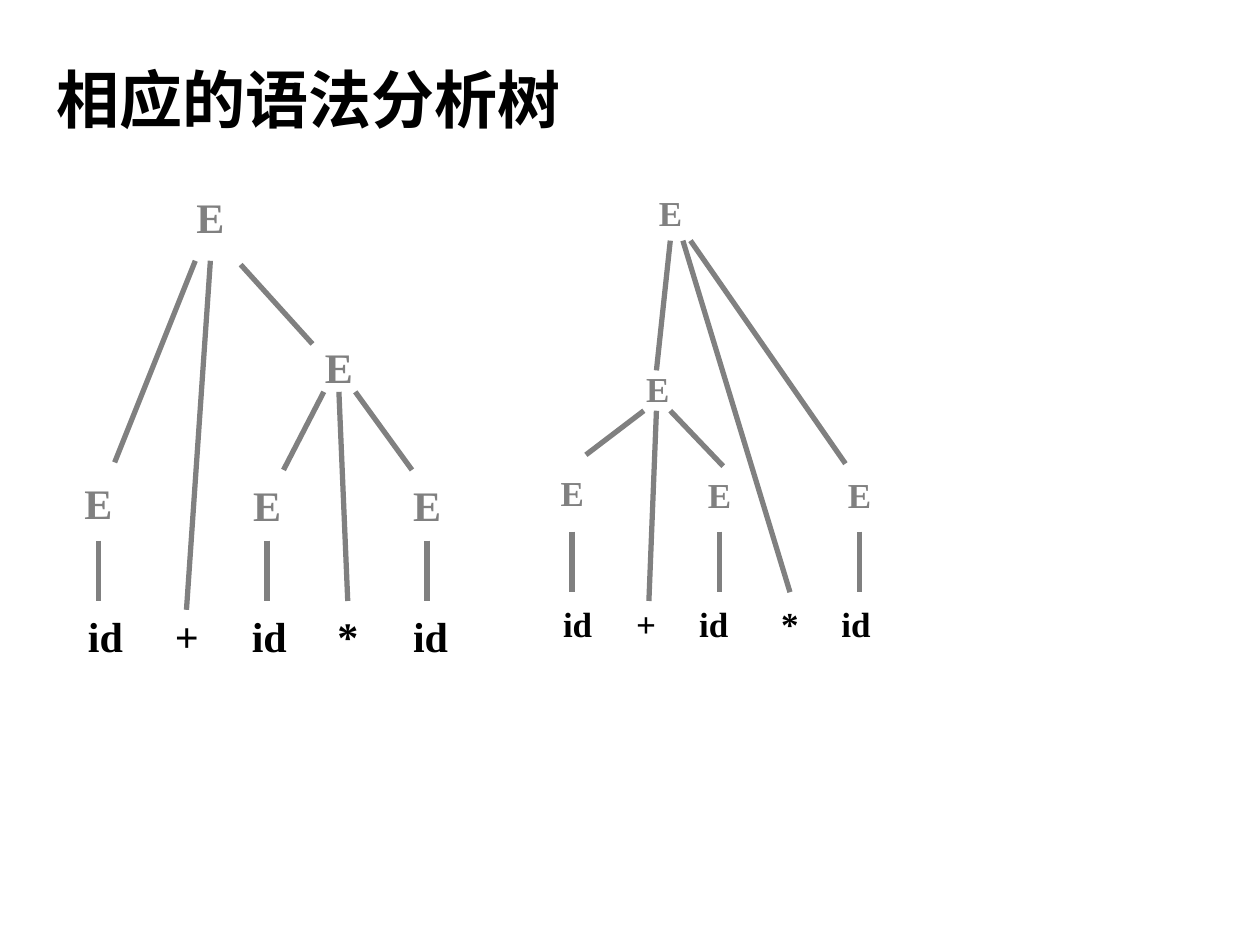
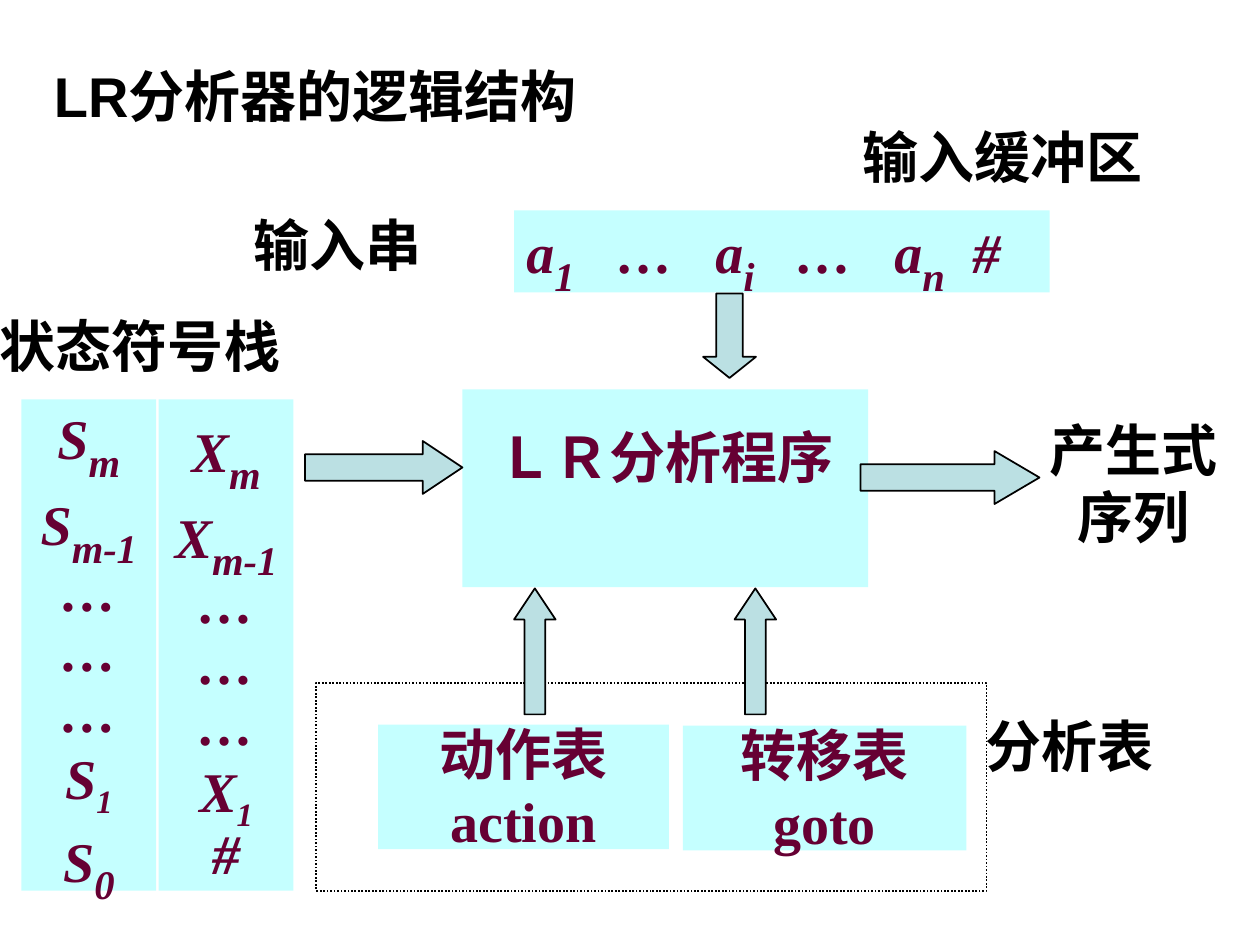
from dataclasses import dataclass
from typing import Optional, Union

from lxml.etree import SubElement
from pptx import Presentation
from pptx.dml.color import RGBColor
from pptx.enum.dml import MSO_LINE
from pptx.enum.shapes import MSO_CONNECTOR, MSO_SHAPE
from pptx.enum.text import MSO_ANCHOR, PP_ALIGN
from pptx.oxml.ns import qn
from pptx.util import Inches, Pt

CELL = Inches(0.1)  # the page is a grid of 100 columns by 75 rows
COLUMNS, ROWS = 100, 75


def cells(count: float) -> int:
    return round(count * CELL)


@dataclass(frozen=True)
class Theme:
    black: str = "000000"
    white: str = "FFFFFF"
    tree_grey: str = "808080"
    block_cyan: str = "C5FFFF"
    block_text: str = "660033"
    arrow_fill: str = "BBE0E3"
    title_font: str = "Arial"
    body_font: str = "Times New Roman"
    tree_title: int = 36
    body: int = 32
    index: int = 40
    branch_width: int = 3
    outline_width: int = 1


THEME = Theme()


@dataclass(frozen=True)
class Place:
    column: float
    row: float
    columns: float
    rows: float

    def lengths(self) -> tuple[int, ...]:
        return tuple(map(cells, (self.column, self.row, self.columns, self.rows)))


@dataclass(frozen=True)
class Symbol:
    """A grammar symbol with a lowered index."""
    base: str
    index: str = ""
    index_size: int = THEME.index


Span = Union[str, Symbol]


@dataclass(frozen=True)
class Box:
    place: Place
    lines: tuple[tuple[Span, ...], ...]
    size: int = THEME.body
    font: str = THEME.body_font
    color: str = THEME.black
    fill: Optional[str] = None
    italic: bool = False
    centred: bool = False
    middle: bool = False
    wrap: bool = True
    side_inset: float = 1
    bottom_inset: float = 0.5
    line_spacing: Optional[float] = None
    tabs: tuple[float, ...] = ()


@dataclass(frozen=True)
class Branch:
    start: tuple[float, float]
    end: tuple[float, float]
    from_root: bool = False


@dataclass(frozen=True)
class Tree:
    size: int
    node_columns: float
    node_rows: float
    root: tuple[float, float]
    inner: tuple[float, float]
    leaves: tuple[tuple[float, float], ...]
    stem_top: float
    branches: tuple[Branch, ...]
    tokens: Place
    token_tabs: tuple[float, ...]


@dataclass(frozen=True)
class Arrow:
    shape: MSO_SHAPE
    place: Place
    head: float


def paint(shape, fill: Optional[str], line: Optional[str] = None) -> None:
    shape.shadow.inherit = False
    if fill:
        shape.fill.solid()
        shape.fill.fore_color.rgb = RGBColor.from_string(fill)
    else:
        shape.fill.background()
    if line:
        shape.line.color.rgb = RGBColor.from_string(line)
        shape.line.width = Pt(THEME.outline_width)
    else:
        shape.line.fill.background()


def add_tabs(paragraph, tabs: tuple[float, ...]) -> None:
    tab_list = SubElement(paragraph._p.get_or_add_pPr(), qn("a:tabLst"))
    for stop in tabs:
        SubElement(tab_list, qn("a:tab"), pos=str(cells(stop)), algn="l")


def add_span(paragraph, text: str, box: Box, size: int, lowered: bool = False) -> None:
    run = paragraph.add_run()
    run.text = text
    font = run.font
    font.name, font.size, font.bold, font.italic = box.font, Pt(size), True, box.italic
    font.color.rgb = RGBColor.from_string(box.color)
    if lowered:
        run._r.get_or_add_rPr().set("baseline", "-25000")


def draw_box(page, box: Box):
    if box.fill:
        shape = page.shapes.add_shape(MSO_SHAPE.RECTANGLE, *box.place.lengths())
        paint(shape, box.fill)
    else:
        shape = page.shapes.add_textbox(*box.place.lengths())
    frame = shape.text_frame
    frame.word_wrap = box.wrap
    frame.vertical_anchor = MSO_ANCHOR.MIDDLE if box.middle else MSO_ANCHOR.TOP
    frame.margin_left = frame.margin_right = cells(box.side_inset)
    frame.margin_top, frame.margin_bottom = cells(0.5), cells(box.bottom_inset)
    for number, line in enumerate(box.lines):
        paragraph = frame.add_paragraph() if number else frame.paragraphs[0]
        paragraph.alignment = PP_ALIGN.CENTER if box.centred else PP_ALIGN.LEFT
        if box.line_spacing:
            paragraph.line_spacing = box.line_spacing
        if box.tabs:
            add_tabs(paragraph, box.tabs)
        for position, span in enumerate(line):
            symbol = span if isinstance(span, Symbol) else Symbol(span)
            lead = "\t" if position else ""
            add_span(paragraph, lead + symbol.base, box, box.size)
            if symbol.index:
                add_span(paragraph, symbol.index, box, symbol.index_size, lowered=True)
    return shape


def draw_title(page, text: str, place: Place, size: int) -> None:
    draw_box(page, Box(place, ((text,),), size, THEME.title_font,
                       fill=THEME.white, middle=True))


def draw_branch(page, branch: Branch, root=None) -> None:
    line = page.shapes.add_connector(MSO_CONNECTOR.STRAIGHT,
                                     *map(cells, branch.start + branch.end))
    line.line.color.rgb = RGBColor.from_string(THEME.tree_grey)
    line.line.width = Pt(THEME.branch_width)
    SubElement(line._element.spPr, qn("a:effectLst"))
    if branch.from_root:
        line.begin_connect(root, 2)


def draw_tree(page, tree: Tree) -> None:
    draw_box(page, Box(tree.tokens, (("id", "+", "id", "*", "id"),), tree.size,
                       tabs=tree.token_tabs))
    nodes = [draw_box(page, Box(Place(*corner, tree.node_columns, tree.node_rows), (("E",),),
                                tree.size, color=THEME.tree_grey, centred=True, wrap=False))
             for corner in (tree.root, tree.inner, *tree.leaves)]
    for column, _ in tree.leaves:
        middle = column + tree.node_columns / 2
        draw_branch(page, Branch((middle, tree.stem_top), (middle, tree.stem_top + 4.8)))
    for branch in tree.branches:
        draw_branch(page, branch, nodes[0])


def draw_arrow(page, arrow: Arrow) -> None:
    shape = page.shapes.add_shape(arrow.shape, *arrow.place.lengths())
    shape.adjustments[0], shape.adjustments[1] = 0.5, arrow.head
    paint(shape, THEME.arrow_fill, THEME.black)


def block(place: Place, *lines: tuple[Span, ...], **style) -> Box:
    """A cyan block with centred dark red text."""
    settings = dict(color=THEME.block_text, fill=THEME.block_cyan, centred=True,
                    middle=True, wrap=False, side_inset=0)
    return Box(place, lines, **{**settings, **style})


def stack(column: float, letter: str, bottom: Span) -> Box:
    lines = (Symbol(letter, "m"), Symbol(letter, "m-1"), "…", "…", "…",
             Symbol(letter, "1", THEME.body), bottom)
    return block(Place(column, 31.7, 10.7, 39), *((line,) for line in lines),
                 italic=True, side_inset=1, line_spacing=0.9)


RIGHT_TREE = Tree(
    size=20, node_columns=3.8, node_rows=4.4, root=(51.3, 14.7), inner=(50.3, 28.7),
    leaves=((43.5, 36.9), (55.2, 37.1), (66.3, 37.1)), stem_top=42.2,
    branches=(
        Branch((51.1, 32.6), (46.5, 36.1)),
        Branch((53.2, 32.6), (57.4, 37)),
        Branch((54.8, 19.1), (67.1, 36.8)),
        Branch((53.2, 19.1), (52.1, 29.4), from_root=True),
        Branch((52.1, 32.6), (51.5, 47.7)),
        Branch((54.2, 19.1), (62.7, 47)),
    ),
    tokens=Place(43.7, 47.3, 27.2, 4.4), token_tabs=(5.8, 10.8, 17.3, 22.1))

LEFT_TREE = Tree(
    size=24, node_columns=4.2, node_rows=5, root=(14.6, 14.7), inner=(24.8, 26.6),
    leaves=((5.7, 37.4), (19.1, 37.6), (31.8, 37.6)), stem_top=42.9,
    branches=(
        Branch((15.5, 20.7), (9.1, 36.7)),
        Branch((25.7, 31.1), (22.5, 37.3)),
        Branch((28.2, 31.1), (32.7, 37.3)),
        Branch((19.1, 21), (24.8, 27.3)),
        Branch((16.7, 20.7), (14.8, 48.4)),
        Branch((26.9, 31.1), (27.6, 47.7)),
    ),
    tokens=Place(6, 48, 31.4, 5), token_tabs=(6.9, 13, 19.8, 25.8))

BLOCKS = (
    block(Place(40.8, 16.7, 42.5, 6.5),
          (Symbol("a", "1"), "…", Symbol("a", "i"), "…", Symbol("a", "n"), "#"),
          italic=True, centred=False, wrap=True, side_inset=1,
          tabs=(7.2, 15, 21.4, 29.2, 35.4)),
    block(Place(36.7, 30.9, 32.2, 15.7), ("ＬＲ分析程序",), bottom_inset=5.6),
    block(Place(30, 57.5, 23.1, 9.9), ("动作表",), ("action",)),
    block(Place(54.2, 57.6, 22.5, 9.9), ("转移表",), ("goto",)),
    stack(1.7, "S", Symbol("S", "0")),
    stack(12.6, "X", "#"),
)

LABELS = (
    Box(Place(81.9, 32.5, 16.2, 11.7), (("产生式",), ("序列",)), centred=True, side_inset=0),
    Box(Place(0, 24.2, 25.6, 6.3), (("状态符号栈",),), fill=THEME.white, side_inset=0),
    Box(Place(67.5, 9.2, 27.4, 6.3), (("输入缓冲区",),)),
    Box(Place(78.2, 56, 21.8, 6.3), (("分析表",),), side_inset=0),
    Box(Place(20.1, 16.2, 17.3, 6.3), (("输入串",),), fill=THEME.white, side_inset=0),
)

ARROWS = (
    Arrow(MSO_SHAPE.RIGHT_ARROW, Place(24.2, 35, 12.5, 4.2), 0.75),
    Arrow(MSO_SHAPE.DOWN_ARROW, Place(55.8, 23.3, 4.2, 6.7), 0.4),
    Arrow(MSO_SHAPE.UP_ARROW, Place(40.8, 46.7, 3.3, 10), 0.75),
    Arrow(MSO_SHAPE.UP_ARROW, Place(58.3, 46.7, 3.3, 10), 0.75),
    Arrow(MSO_SHAPE.RIGHT_ARROW, Place(68.3, 35.8, 14.2, 4.2), 0.85),
)


def build_tree_page(page) -> None:
    draw_title(page, "相应的语法分析树", Place(3.5, 2.8, 95.3, 10), THEME.tree_title)
    for tree in (RIGHT_TREE, LEFT_TREE):
        draw_tree(page, tree)


def build_parser_page(page) -> None:
    draw_title(page, "LR分析器的逻辑结构", Place(3.3, 4.2, 90, 6.7), THEME.body)
    for box in BLOCKS + LABELS:
        draw_box(page, box)
    table_frame = page.shapes.add_shape(MSO_SHAPE.RECTANGLE,
                                        *Place(25.1, 54.2, 53.2, 16.5).lengths())
    paint(table_frame, None, THEME.black)
    table_frame.line.dash_style = MSO_LINE.ROUND_DOT
    for arrow in ARROWS:
        draw_arrow(page, arrow)


def main() -> None:
    deck = Presentation()
    deck.slide_width, deck.slide_height = cells(COLUMNS), cells(ROWS)
    for build in (build_tree_page, build_parser_page):
        build(deck.slides.add_slide(deck.slide_layouts[6]))
    deck.save("out.pptx")


if __name__ == "__main__":
    main()
